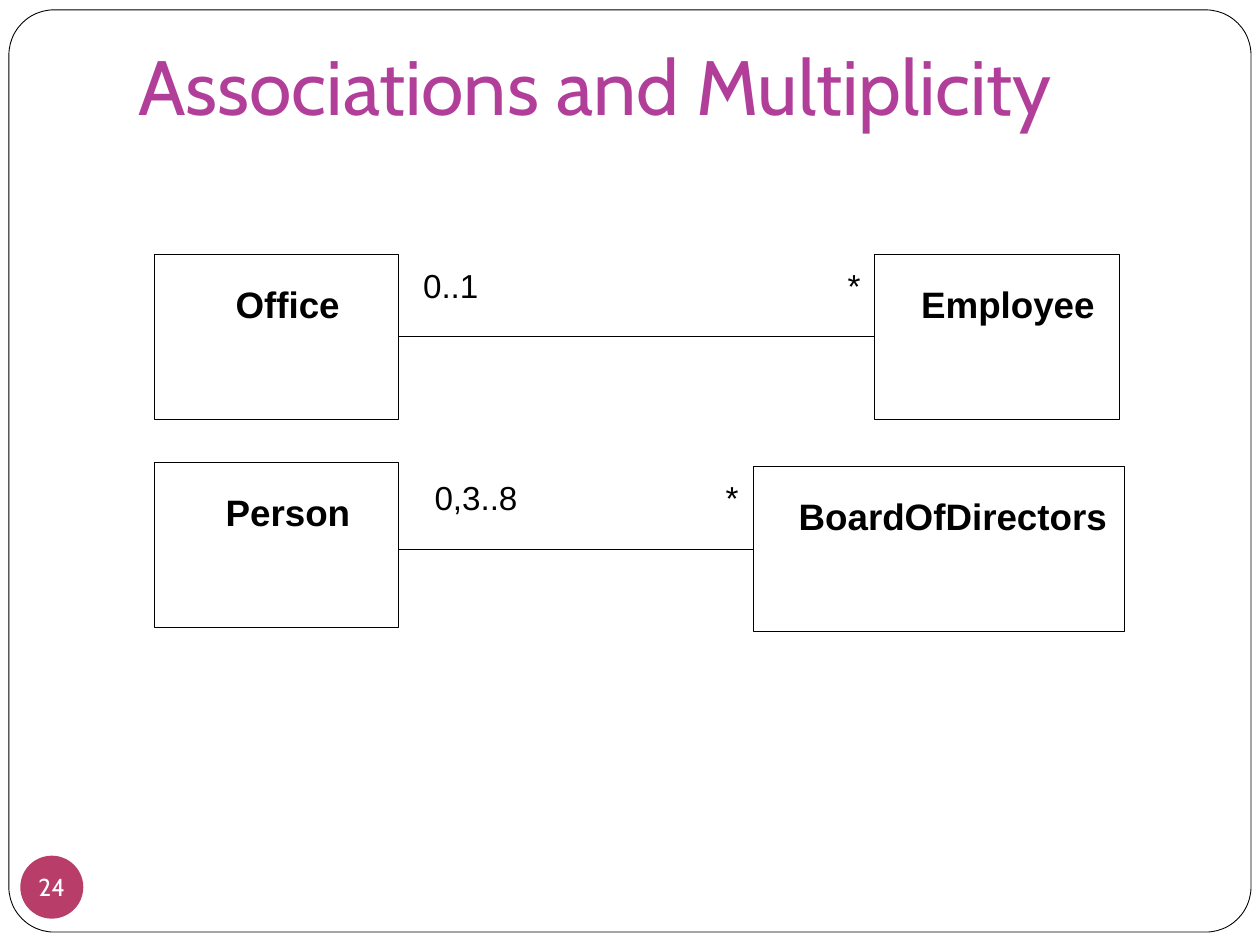
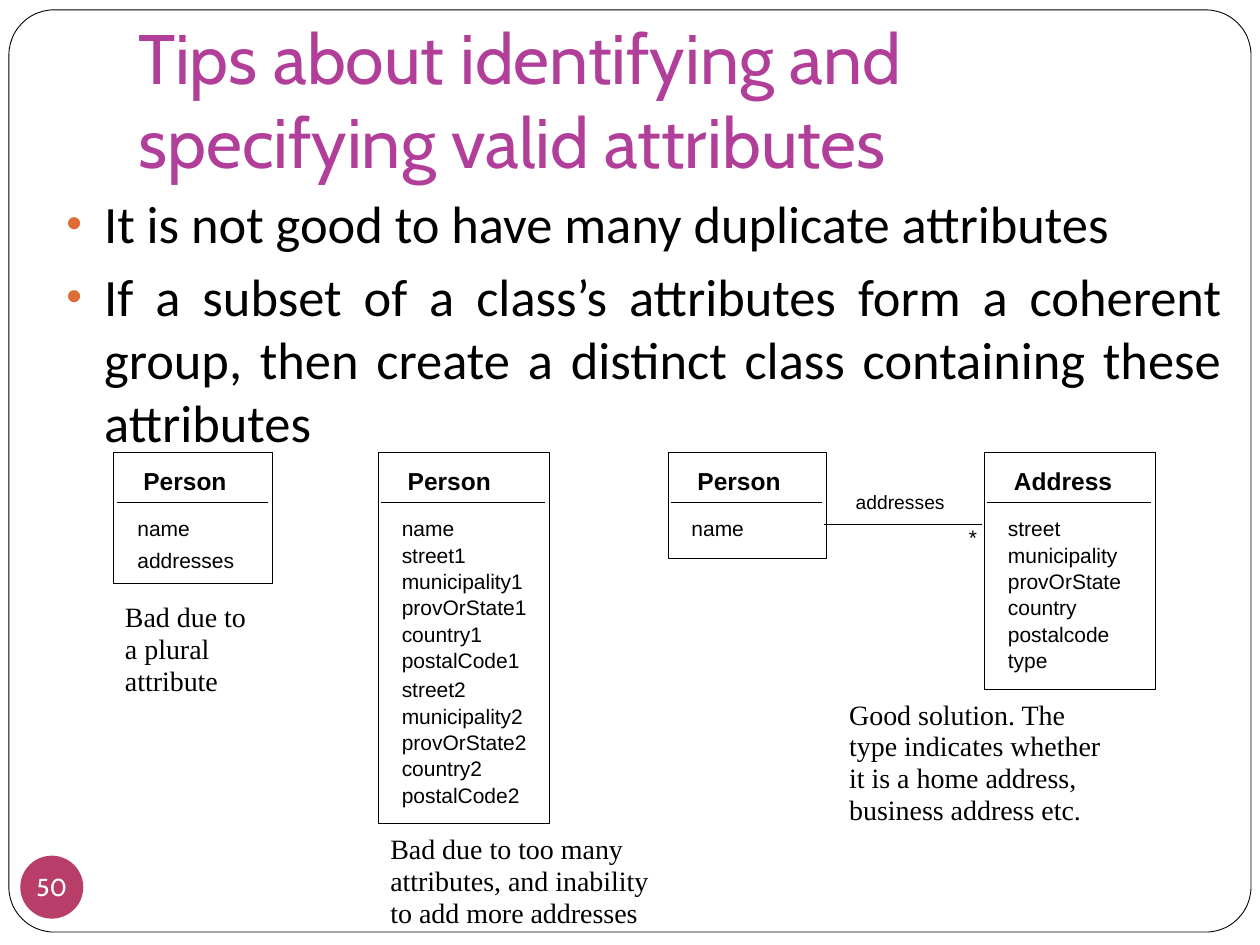
"""Build two slides on UML associations and on choosing class attributes."""
import pptx
import pptx.dml.color
import pptx.enum.shapes
import pptx.enum.text
import pptx.oxml
import pptx.oxml.ns
import pptx.oxml.xmlchemy
import pptx.util

Cm = pptx.util.Cm
Pt = pptx.util.Pt
rgb = pptx.dml.color.RGBColor.from_string
SHAPES = pptx.enum.shapes.MSO_SHAPE
ANCHOR = pptx.enum.text.MSO_ANCHOR
ALIGN = pptx.enum.text.PP_ALIGN
STRAIGHT = pptx.enum.shapes.MSO_CONNECTOR.STRAIGHT

BLACK, WHITE, PURPLE, CRIMSON, ORANGE = "000000", "FFFFFF", "B13F9A", "B83D68", "DE6C36"

TIGHT = {"margin_left": 0, "margin_top": 0, "margin_right": 0, "margin_bottom": 0, "word_wrap": False}
BADGE_FRAME = {**TIGHT, "vertical_anchor": ANCHOR.MIDDLE}
TITLE_FRAME = {
    "margin_left": Cm(0.25), "margin_top": Cm(0.13), "margin_right": Cm(0.25), "margin_bottom": Cm(0.25),
    "word_wrap": True, "vertical_anchor": ANCHOR.BOTTOM, "auto_size": pptx.enum.text.MSO_AUTO_SIZE.NONE,
}
BODY_FRAME = {"word_wrap": True}

LEFT = {"alignment": ALIGN.LEFT}
CENTER = {"alignment": ALIGN.CENTER}
JUSTIFIED = {"alignment": ALIGN.JUSTIFY}
ATTRIBUTE_LINES = {**LEFT, "line_spacing": Pt(15.1)}
CAPTION_LINES = {**LEFT, "line_spacing": Pt(18.2)}

CLASS_NAME = {"name": "Arial", "size": Pt(21), "bold": True}
MULTIPLICITY = {"name": "Arial", "size": Pt(19)}
SMALL_CLASS_NAME = {"name": "Arial", "size": Pt(14), "bold": True}
ATTRIBUTE = {"name": "Arial", "size": Pt(12)}
ROLE = {"name": "Arial", "size": Pt(11)}
CAPTION = {"name": "Times New Roman", "size": Pt(16)}
BADGE = {"name": "Cabin", "size": Pt(14)}
BODY = {"name": "Calibri", "size": Pt(30)}

SPACE_BEFORE = {"addresses": 3.2, "street2": 1.4}


def write(text_frame, lines, frame_format, paragraph_format, font_format, color=BLACK):
    """Fill a text frame with one formatted paragraph per line."""
    for name, value in frame_format.items():
        setattr(text_frame, name, value)
    for index, line in enumerate(lines):
        paragraph = text_frame.add_paragraph() if index else text_frame.paragraphs[0]
        for name, value in paragraph_format.items():
            setattr(paragraph, name, value)
        if index and line in SPACE_BEFORE:
            paragraph.space_before = Pt(SPACE_BEFORE[line])
        run = paragraph.add_run()
        run.text = line
        for name, value in font_format.items():
            setattr(run.font, name, value)
        run.font.color.rgb = rgb(color)


def paint(item, fill=None, line=BLACK, width=0.1):
    """Set fill and line of a shape or connector and drop its shadow."""
    if fill:
        item.fill.solid()
        item.fill.fore_color.rgb = rgb(fill)
    elif hasattr(item, "fill"):
        item.fill.background()
    if line:
        item.line.color.rgb = rgb(line)
        item.line.width = Pt(width)
    else:
        item.line.fill.background()
    item.element.spPr.append(pptx.oxml.xmlchemy.OxmlElement("a:effectLst"))


presentation = pptx.Presentation()
presentation.slide_width, presentation.slide_height = Cm(25.4), Cm(19.05)

slides = []
for number, title_text, title_top, title_size in [
    ("24", "Associations and Multiplicity", -0.3, 44),
    ("50", "Tips about identifying and specifying valid attributes", 0.74, 40),
]:
    slide = presentation.slides.add_slide(presentation.slide_layouts[5])
    slides.append(slide)
    title = slide.shapes.title
    title.left, title.top, title.width, title.height = map(Cm, (2.54, title_top, 21.59, 3.18))
    write(title.text_frame, [title_text], TITLE_FRAME, LEFT, {"name": "Cabin", "size": Pt(title_size)}, PURPLE)

    border = slide.shapes.add_shape(SHAPES.ROUNDED_RECTANGLE, *map(Cm, (0.18, 0.2, 25.04, 18.59)))
    border.adjustments[0] = 0.049
    paint(border, WHITE, width=0.5)
    title.element.addprevious(border.element)

    badge = slide.shapes.add_shape(SHAPES.OVAL, *map(Cm, (0.41, 17.25, 1.27, 1.27)))
    paint(badge, CRIMSON, None)
    write(badge.text_frame, [number], BADGE_FRAME, CENTER, BADGE, WHITE)

association_slide, attribute_slide = slides

body = attribute_slide.shapes.add_textbox(*map(Cm, (1.09, 3.73, 23.8, 14.81)))
write(body.text_frame, [
    "It is not good to have many duplicate attributes",
    "If a subset of a class’s attributes form a coherent group, "
    "then create a distinct class containing these attributes",
], BODY_FRAME, JUSTIFIED, BODY)
body.text_frame.paragraphs[1].space_before = Pt(5.8)
for paragraph in body.text_frame.paragraphs:
    properties = paragraph._p.get_or_add_pPr()
    properties.set("marL", str(Cm(0.76)))
    properties.set("indent", str(-Cm(0.76)))
    namespace = pptx.oxml.ns.nsdecls("a")
    for bullet_xml in (
        f'<a:buClr {namespace}><a:srgbClr val="{ORANGE}"/></a:buClr>',
        f'<a:buSzPct {namespace} val="85000"/>',
        f'<a:buFont {namespace} typeface="Arial"/>',
        f'<a:buChar {namespace} char="•"/>',
    ):
        properties.append(pptx.oxml.parse_xml(bullet_xml))

boxes = []
connectors = [
    (association_slide, 8.03, 17.63, 6.78),
    (association_slide, 8.03, 15.19, 11.07),
    (attribute_slide, 16.61, 19.79, 10.57),
]
labels = [
    (association_slide, 8.53, 5.35, 1.5, 0.81, ["0..1"], LEFT, MULTIPLICITY),
    (association_slide, 17.09, 5.35, 0.4, 0.81, ["*"], LEFT, MULTIPLICITY),
    (association_slide, 8.76, 9.63, 2, 0.81, ["0,3..8"], LEFT, MULTIPLICITY),
    (association_slide, 14.63, 9.63, 0.4, 0.81, ["*"], LEFT, MULTIPLICITY),
    (attribute_slide, 17.25, 9.88, 2.1, 0.46, ["addresses"], LEFT, ROLE),
    (attribute_slide, 19.53, 10.57, 0.25, 0.51, ["*"], LEFT, ATTRIBUTE),
]

for class_name, left, top, width, name_left, name_width in [
    ("Office", 3.1, 5.13, 4.93, 4.75, 2.5),
    ("Employee", 17.63, 5.13, 4.93, 18.57, 3.9),
    ("Person", 3.1, 9.32, 4.93, 4.55, 3),
    ("BoardOfDirectors", 15.19, 9.4, 7.47, 16.1, 6.5),
]:
    boxes.append((association_slide, left, top, width, 3.33))
    labels.append((association_slide, name_left, top + 0.55, name_width, 0.89, [class_name], LEFT, CLASS_NAME))

address_parts = ["street", "municipality", "provOrState", "country"]
numbered_parts = [f"{part}{index}" for index in (1, 2) for part in address_parts + ["postalCode"]]
for class_name, left, width, height, attributes in [
    ("Person", 2.29, 3.2, 2.64, ["name", "addresses"]),
    ("Person", 7.62, 3.45, 7.47, ["name"] + numbered_parts),
    ("Person", 13.46, 3.2, 2.13, ["name"]),
    ("Address", 19.84, 3.45, 4.78, address_parts + ["postalcode", "type"]),
]:
    boxes.append((attribute_slide, left, 9.12, width, height))
    connectors.append((attribute_slide, left + 0.06, left + width - 0.09, 10.13))
    labels.append((attribute_slide, left + 0.6, 9.4, 2.4, 0.58, [class_name], LEFT, SMALL_CLASS_NAME))
    labels.append((attribute_slide, left + 0.48, 10.37, 2.9, 0.53 * len(attributes),
                   attributes, ATTRIBUTE_LINES, ATTRIBUTE))

for left, top, width, lines in [
    (2.52, 12.13, 3, ["Bad due to", "a plural", "attribute"]),
    (7.87, 16.8, 5.8, ["Bad due to too many", "attributes, and inability", "to add more addresses"]),
    (17.12, 14.09, 5.6, ["Good solution. The", "type indicates whether", "it is a home address,",
                         "business address etc."]),
]:
    labels.append((attribute_slide, left, top, width, 0.64 * len(lines), lines, CAPTION_LINES, CAPTION))

for slide, *position in boxes:
    paint(slide.shapes.add_shape(SHAPES.RECTANGLE, *map(Cm, position)))

for slide, start, end, height in connectors:
    paint(slide.shapes.add_connector(STRAIGHT, *map(Cm, (start, height, end, height))))

for slide, left, top, width, height, lines, paragraph_format, font_format in labels:
    label = slide.shapes.add_textbox(*map(Cm, (left, top, width, height)))
    write(label.text_frame, lines, TIGHT, paragraph_format, font_format)

presentation.save("out.pptx")
